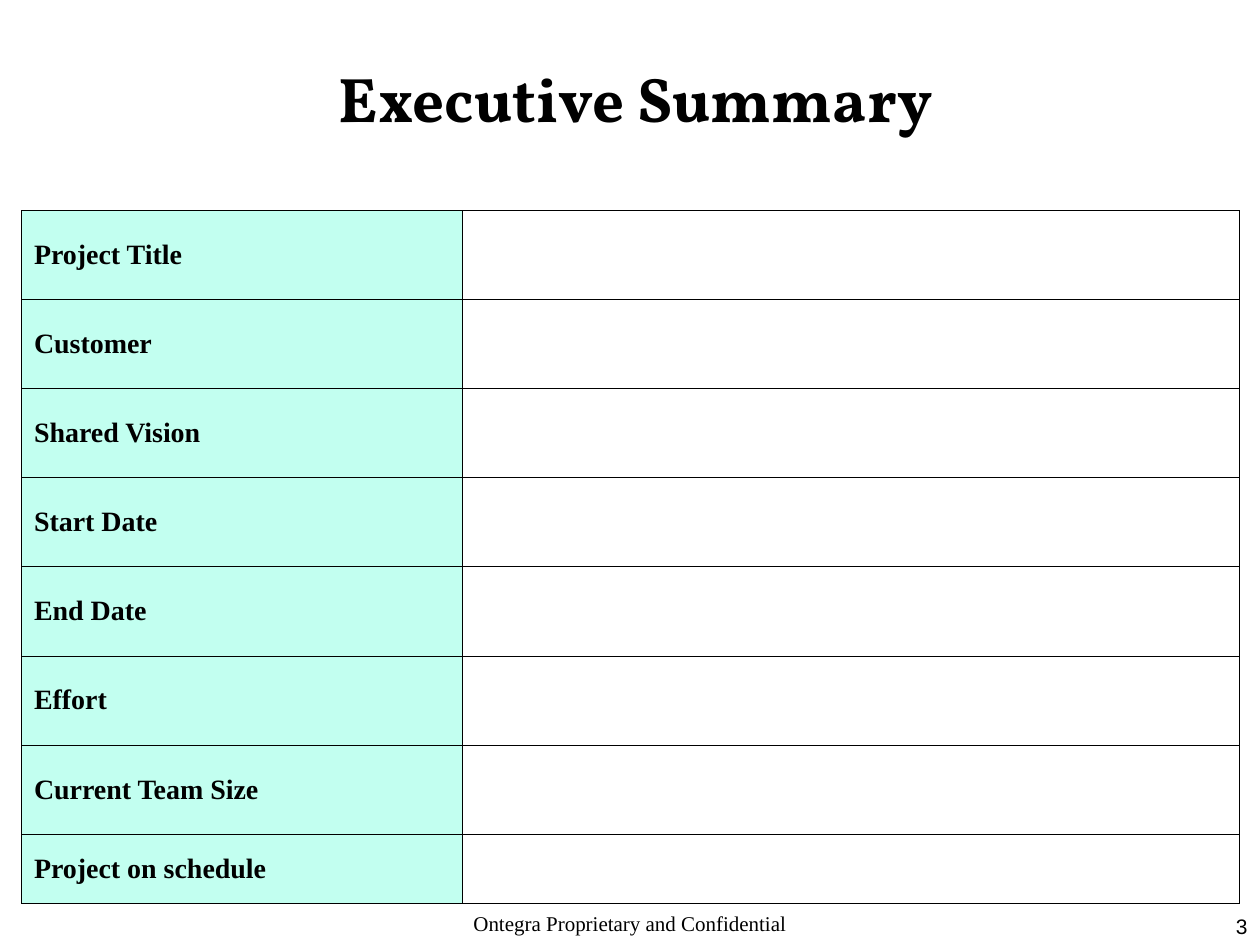
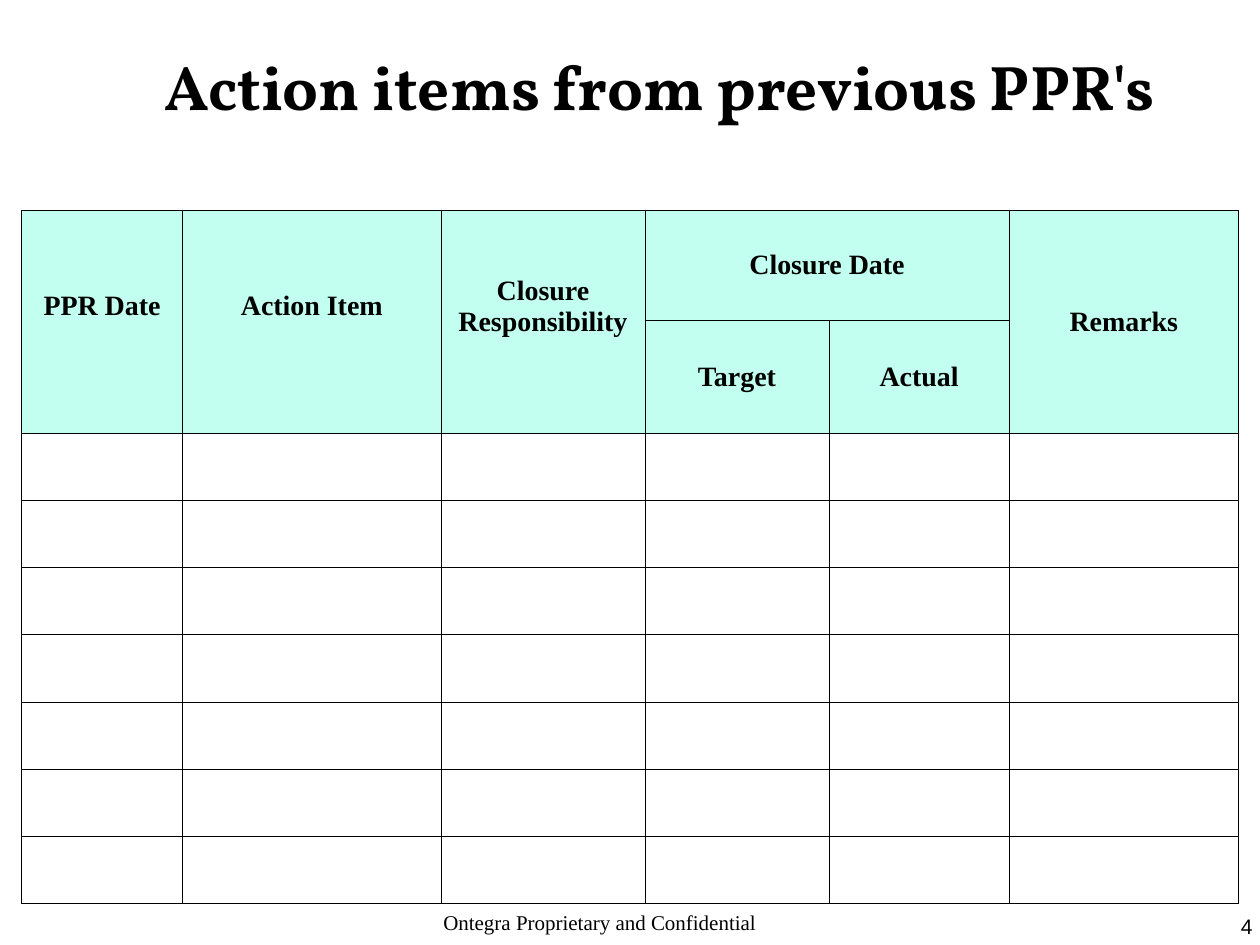
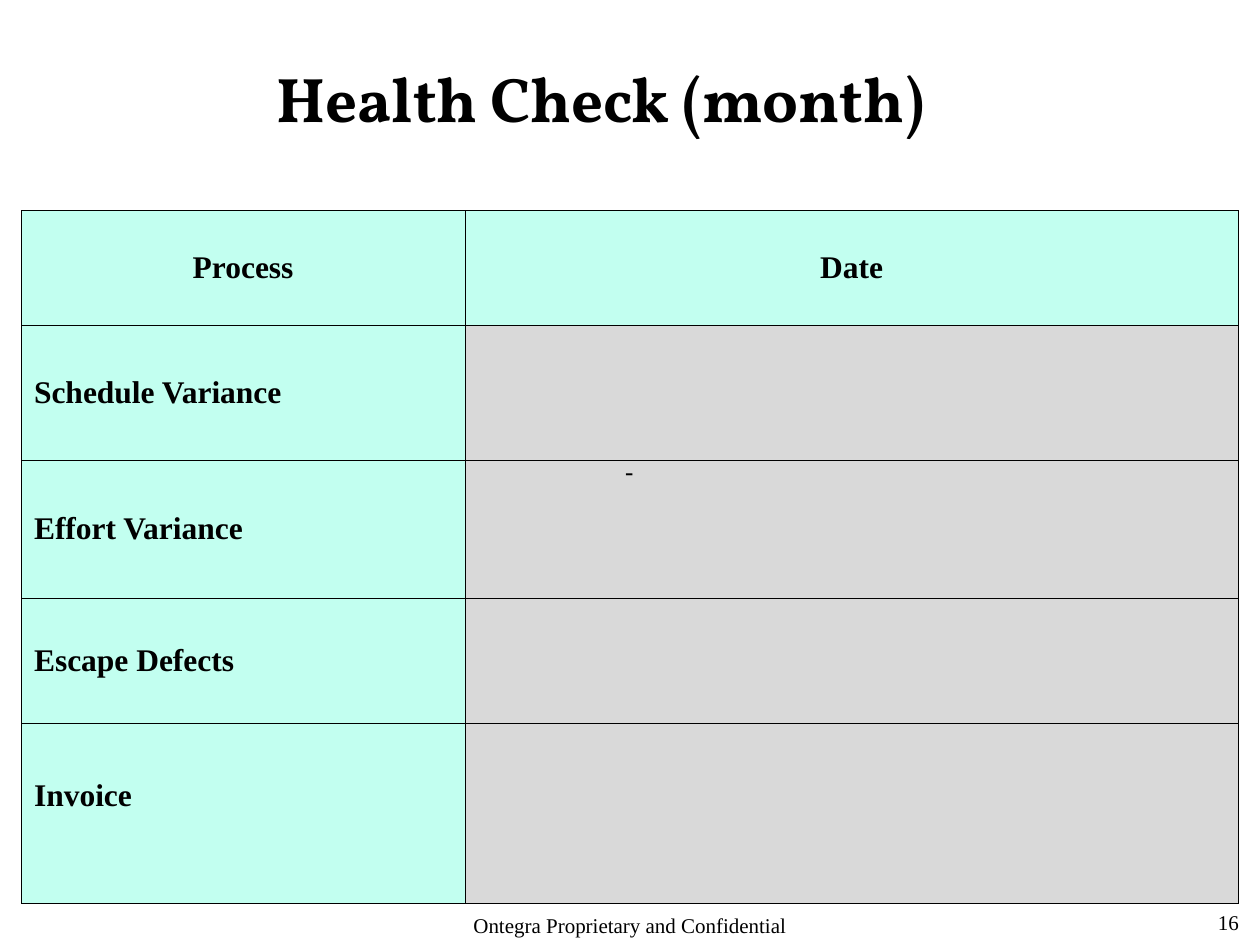
import pptx
import pptx.util
import pptx.dml.color
import pptx.enum.text
import pptx.oxml.ns
from lxml import etree

Inches = pptx.util.Inches
Pt = pptx.util.Pt
Align = pptx.enum.text.PP_ALIGN
Anchor = pptx.enum.text.MSO_ANCHOR
Fit = pptx.enum.text.MSO_AUTO_SIZE
qn = pptx.oxml.ns.qn

COLORS = {"ink": "000000", "label": "C2FFF0", "value": "D9D9D9", "page": "FFFFFF"}
SERIF = "Times New Roman"
FOOTER = "Ontegra Proprietary and Confidential"
HEIGHT = 5.5


def tint(name):
    return pptx.dml.color.RGBColor.from_string(COLORS[name])


def style(para, font, size, bold=False, align=Align.LEFT):
    para.alignment = align
    for run in para.runs:
        run.font.name = font
        run.font.size = Pt(size)
        run.font.bold = bold
        run.font.color.rgb = tint("ink")


def add_text(slide, text, place, font, size, bold=False, align=Align.CENTER, wrap=True):
    box = slide.shapes.add_textbox(*map(Inches, place))
    frame = box.text_frame
    frame.text = text
    frame.word_wrap = wrap
    frame.auto_size = Fit.NONE if wrap else Fit.SHAPE_TO_FIT_TEXT
    style(frame.paragraphs[0], font, size, bold, align)


def add_title(slide, text, left, top, width):
    add_text(slide, text, (left, top, width, 0.7), "Vollkorn", 36, bold=True, wrap=False)


def add_foot(slide, left, top, width, align=Align.CENTER):
    add_text(slide, FOOTER, (left, top, width, 7.5 - top), SERIF, 12, align=align)


def add_border(cell):
    props = cell._tc.get_or_add_tcPr()
    for index, side in enumerate(("a:lnL", "a:lnR", "a:lnT", "a:lnB")):
        line = etree.Element(qn(side), w=str(Pt(0.45)))
        fill = etree.SubElement(line, qn("a:solidFill"))
        etree.SubElement(fill, qn("a:srgbClr"), val=COLORS["ink"])
        props.insert(index, line)


def add_grid(slide, cols, rows):
    frame = slide.shapes.add_table(
        len(rows), len(cols), Inches(0.17), Inches(1.67), Inches(9.67), Inches(HEIGHT))
    grid = frame.table
    grid.first_row = False
    grid.horz_banding = False
    for col, width in zip(grid.columns, cols):
        col.width = Inches(width)
    for row, height in zip(grid.rows, rows):
        row.height = Inches(height)
    for cell in grid.iter_cells():
        cell.fill.background()
        add_border(cell)
    return grid


def paint(cell, name):
    cell.fill.solid()
    cell.fill.fore_color.rgb = tint(name)


def set_label(cell, text, size, align=Align.LEFT, lift=0):
    paint(cell, "label")
    cell.text_frame.text = text
    cell.vertical_anchor = Anchor.MIDDLE
    cell.margin_bottom = Inches(0.05 + lift)
    style(cell.text_frame.paragraphs[0], SERIF, size, True, align)


def add_summary(slide):
    labels = ["Project Title", "Customer", "Shared Vision", "Start Date", "End Date",
              "Effort", "Current Team Size", "Project on schedule"]
    last = 0.55
    count = len(labels) - 1
    add_foot(slide, 2.96, 7.18, 4.08)
    add_title(slide, "Executive Summary", 2.4, 0.42, 5.29)
    grid = add_grid(slide, [3.5, 6.17], [(HEIGHT - last) / count] * count + [last])
    for row, label in enumerate(labels):
        set_label(grid.cell(row, 0), label, 16)
    add_text(slide, "3", (9.67, 7.2, 0.33, 0.3), "Arial", 12, align=Align.RIGHT)


def add_actions(slide):
    heads = [
        ("PPR Date", 0, 0, 1, 0, 0.25),
        ("Action Item", 0, 1, 1, 1, 0.25),
        ("Closure Responsibility", 0, 2, 1, 2, 0.25),
        ("Closure Date", 0, 3, 0, 4, 0),
        ("Remarks", 0, 5, 1, 5, 0),
        ("Target", 1, 3, 1, 3, 0),
        ("Actual", 1, 4, 1, 4, 0),
    ]
    tops = [0.87, 0.9]
    count = 7
    add_foot(slide, 3.42, 7.17, 3.83, Align.LEFT)
    add_title(slide, "Action items from previous PPR's", 0.91, 0.33, 8.65)
    grid = add_grid(slide, [1.28, 2.05, 1.62, 1.46, 1.43, 1.82],
                    tops + [(HEIGHT - sum(tops)) / count] * count)
    for text, top, left, bottom, right, lift in heads:
        cell = grid.cell(top, left)
        if (top, left) != (bottom, right):
            cell.merge(grid.cell(bottom, right))
        set_label(cell, text, 16, Align.CENTER, lift)
    add_text(slide, "4", (9.75, 7.2, 0.25, 0.3), "Arial", 12, align=Align.RIGHT)


def add_health(slide):
    labels = ["Schedule Variance", "Effort Variance", "Escape Defects", "Invoice"]
    grid = add_grid(slide, [3.52, 6.14], [0.91, 1.07, 1.1, 0.99, 1.43])
    for col, head in enumerate(["Process", "Date"]):
        set_label(grid.cell(0, col), head, 18, Align.CENTER)
    for row, label in enumerate(labels, 1):
        set_label(grid.cell(row, 0), label, 18, lift=0.28 if label == "Invoice" else 0)
        paint(grid.cell(row, 1), "value")
    add_title(slide, "Health Check (month)", 1.88, 0.42, 5.77)
    add_text(slide, "-", (4.84, 3.58, 0.31, 0.34), "DejaVu Sans", 14, wrap=False)
    add_text(slide, "16", (9.5, 7.17, 0.5, 0.33), SERIF, 12)
    add_foot(slide, 3.42, 7.19, 3.16)


def main():
    deck = pptx.Presentation()
    deck.slide_width = Inches(10)
    deck.slide_height = Inches(7.5)
    for build in (add_summary, add_actions, add_health):
        slide = deck.slides.add_slide(deck.slide_layouts[6])
        slide.background.fill.solid()
        slide.background.fill.fore_color.rgb = tint("page")
        build(slide)
    deck.save("out.pptx")


if __name__ == "__main__":
    main()
